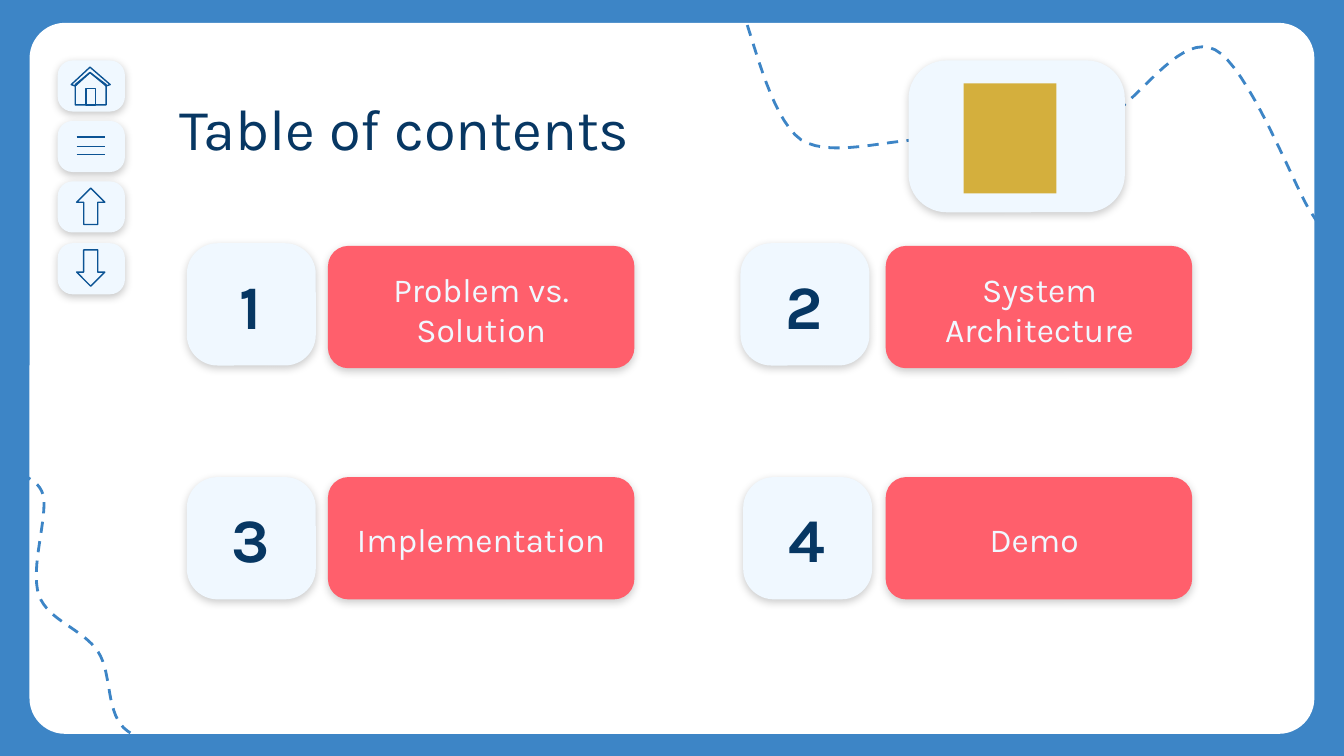
import math
from dataclasses import dataclass

import pptx
import pptx.dml.color
import pptx.enum.dml
import pptx.enum.shapes
import pptx.enum.text
import pptx.oxml
import pptx.oxml.ns
import pptx.util
from pptx.util import Inches

KIND = pptx.enum.shapes.MSO_SHAPE
ALIGN = pptx.enum.text.PP_ALIGN
ANCHOR = pptx.enum.text.MSO_ANCHOR


@dataclass(frozen=True)
class Theme:
    font: str = "Karla"
    blue: str = "3D85C6"
    white: str = "FFFFFF"
    coral: str = "FF5F6C"
    pale: str = "F0F8FF"
    navy: str = "073763"
    icon: str = "0B5394"
    gold: str = "D4AF3D"
    title: int = 31
    number: int = 33
    label: int = 18
    thin: float = 0.75
    dash: float = 1.5


THEME = Theme()

# Each wave is a start point followed by cubic segments: two controls, one end.
LEFT_WAVE = [
    (0.01, 3.49),
    (0.06, 3.52), (0.27, 3.52), (0.32, 3.68),
    (0.36, 3.84), (0.22, 4.23), (0.29, 4.43),
    (0.36, 4.62), (0.62, 4.68), (0.73, 4.85),
    (0.84, 5.02), (0.78, 5.32), (0.95, 5.44),
    (1.12, 5.57), (1.59, 5.58), (1.74, 5.60),
    (1.90, 5.63), (1.85, 5.59), (1.87, 5.59),
]
TOP_WAVE = [
    (5.51, 0.05),
    (5.59, 0.21), (5.72, 0.87), (5.96, 1.04),
    (6.21, 1.20), (6.73, 0.99), (7.00, 1.05),
    (7.26, 1.12), (7.34, 1.44), (7.56, 1.41),
    (7.77, 1.37), (8.04, 1.02), (8.28, 0.85),
    (8.53, 0.67), (8.80, 0.25), (9.04, 0.37),
    (9.28, 0.49), (9.61, 1.33), (9.73, 1.54),
    (9.86, 1.75), (9.78, 1.60), (9.79, 1.62),
]
HOUSE = [
    [(0.67, 0.54), (0.56, 0.63), (0.56, 0.78), (0.79, 0.78), (0.79, 0.63)],
    [(0.64, 0.66), (0.64, 0.78), (0.71, 0.78), (0.71, 0.66)],
    [(0.67, 0.5), (0.53, 0.63), (0.56, 0.64), (0.67, 0.54),
     (0.79, 0.64), (0.82, 0.63)],
]
# number, tile left, tile top, card left, card top, label, its left, top, width
ITEMS = [
    ("1", 1.39, 1.81, 2.44, 1.83, "Problem vs. Solution", 2.67, 1.88, 1.82),
    ("2", 5.51, 1.81, 6.59, 1.83, "System Architecture", 6.87, 1.88, 1.73),
    ("3", 1.39, 3.55, 2.44, 3.55, "Implementation", 2.44, 3.59, 2.28),
    ("4", 5.53, 3.55, 6.59, 3.55, "Demo", 6.83, 3.59, 1.73),
]


def rgb(code):
    return pptx.dml.color.RGBColor.from_string(code)


def trace(wave, steps=16):
    """Points along a chain of cubic curves."""
    points = [wave[0]]
    for i in range(0, len(wave) - 1, 3):
        for n in range(1, steps + 1):
            t = n / steps
            mix = ((1 - t) ** 3, 3 * t * (1 - t) ** 2, 3 * t * t * (1 - t), t ** 3)
            points.append(tuple(
                sum(m * p[axis] for m, p in zip(mix, wave[i:i + 4]))
                for axis in (0, 1)))
    return points


def turn(points, angle, mid):
    """Points turned clockwise about mid."""
    cos, sin = math.cos(math.radians(angle)), math.sin(math.radians(angle))
    return [(mid[0] + (x - mid[0]) * cos - (y - mid[1]) * sin,
             mid[1] + (x - mid[0]) * sin + (y - mid[1]) * cos)
            for x, y in points]


def effects(shape):
    tag = '<a:effectLst %s/>' % pptx.oxml.ns.nsdecls("a")
    node = pptx.oxml.parse_xml(tag)
    shape._element.spPr.append(node)
    return node


def shade(shape, alpha):
    """Give a shape a soft shadow below it."""
    for old in shape._element.spPr.findall(pptx.oxml.ns.qn("a:effectLst")):
        shape._element.spPr.remove(old)
    effects(shape).append(pptx.oxml.parse_xml(
        '<a:outerShdw %s blurRad="57150" dist="19050" dir="5400000" '
        'algn="bl" rotWithShape="0"><a:srgbClr val="000000">'
        '<a:alpha val="%d"/></a:srgbClr></a:outerShdw>'
        % (pptx.oxml.ns.nsdecls("a"), alpha * 1000)))


def write(frame, text, size, color, bold=False, align=ALIGN.LEFT):
    para = frame.paragraphs[0]
    para.alignment = align
    run = para.add_run()
    run.text = text
    run.font.name = THEME.font
    run.font.size = pptx.util.Pt(size)
    run.font.bold = bold
    run.font.color.rgb = rgb(color)


class Board:
    def __init__(self, slide, theme):
        self.slide, self.theme = slide, theme
        self.shapes = slide.shapes

    def paint(self, shape, fill=None, line=None, width=None):
        shape.shadow.inherit = False
        if fill:
            shape.fill.solid()
            shape.fill.fore_color.rgb = rgb(fill)
        else:
            shape.fill.background()
        if line:
            shape.line.color.rgb = rgb(line)
            shape.line.width = pptx.util.Pt(width or self.theme.thin)
        else:
            shape.line.fill.background()
        return shape

    def shape(self, kind, x, y, w, h, **look):
        new = self.shapes.add_shape(kind, Inches(x), Inches(y), Inches(w), Inches(h))
        return self.paint(new, **look)

    def panel(self, x, y, w, h, fill, curve, alpha=0):
        new = self.shape(KIND.ROUNDED_RECTANGLE, x, y, w, h, fill=fill)
        new.adjustments[0] = curve
        if alpha:
            shade(new, alpha)

    def outline(self, points, close=True, **look):
        spots = [(Inches(x), Inches(y)) for x, y in points]
        pen = self.shapes.build_freeform(*spots[0])
        pen.add_line_segments(spots[1:], close=close)
        return self.paint(pen.convert_to_shape(), **look)

    def wave(self, points):
        new = self.outline(points, close=False, line=self.theme.blue,
                           width=self.theme.dash)
        new.line.dash_style = pptx.enum.dml.MSO_LINE.DASH
        return new

    def bar(self, x1, x2, y):
        new = self.shapes.add_connector(
            pptx.enum.shapes.MSO_CONNECTOR.STRAIGHT,
            Inches(x1), Inches(y), Inches(x2), Inches(y))
        new.line.color.rgb = rgb(self.theme.icon)
        new.line.width = pptx.util.Pt(self.theme.thin)
        effects(new)
        return new

    def text(self, x, y, w, h, text, anchor=ANCHOR.MIDDLE, **style):
        box = self.shapes.add_textbox(Inches(x), Inches(y), Inches(w), Inches(h))
        frame = box.text_frame
        frame.word_wrap = True
        frame.vertical_anchor = anchor
        frame.margin_left = frame.margin_right = Inches(0.1)
        frame.margin_top = frame.margin_bottom = Inches(0.1)
        write(frame, text, **style)


def main():
    deck = pptx.Presentation()
    deck.slide_width, deck.slide_height = Inches(10), Inches(10 * 9 / 16)
    slide = deck.slides.add_slide(deck.slide_layouts[6])
    slide.background.fill.solid()
    slide.background.fill.fore_color.rgb = rgb(THEME.blue)
    board = Board(slide, THEME)

    board.panel(0.22, 0.17, 9.56, 5.29, THEME.white, 0.05)
    tilt = 12.7
    board.wave(turn(trace(LEFT_WAVE), tilt, (0.94, 4.55))).rotation = 360 - tilt
    board.wave(trace(TOP_WAVE))

    board.text(1.24, 0.59, 7.97, 0.69, "Table of contents", anchor=ANCHOR.TOP,
               size=THEME.title, color=THEME.navy)
    for number, left, top, card, level, label, start, drop, width in ITEMS:
        board.panel(card, level, 2.28, 0.91, THEME.coral, 0.167, 20)
        board.panel(left, top, 0.96, 0.91, THEME.pale, 0.251, 20)
        board.text(left + 0.06, top + 0.11, 0.83, 0.69, number, bold=True,
                   size=THEME.number, color=THEME.navy, align=ALIGN.CENTER)
        board.text(start, drop, width, 0.84, label,
                   size=THEME.label, color=THEME.pale, align=ALIGN.CENTER)

    board.panel(6.76, 0.45, 1.61, 1.13, THEME.pale, 0.251, 20)
    board.shape(KIND.RECTANGLE, 7.17, 0.62, 0.69, 0.82, fill=THEME.gold)

    for y in (0.45, 0.9, 1.35, 1.81):
        board.panel(0.43, y, 0.5, 0.38, THEME.pale, 0.291, 21)
    house = [board.outline(part, line=THEME.icon) for part in HOUSE]
    board.shapes.add_group_shape(house)
    menu = [board.bar(0.57, 0.78, y) for y in (1.02, 1.09, 1.15)]
    board.shapes.add_group_shape(menu)
    for y, angle in ((1.4, 180), (1.86, 0)):
        arrow = board.shape(KIND.DOWN_ARROW, 0.57, y, 0.21, 0.27, line=THEME.icon)
        arrow.rotation = angle

    deck.save("out.pptx")


if __name__ == "__main__":
    main()
